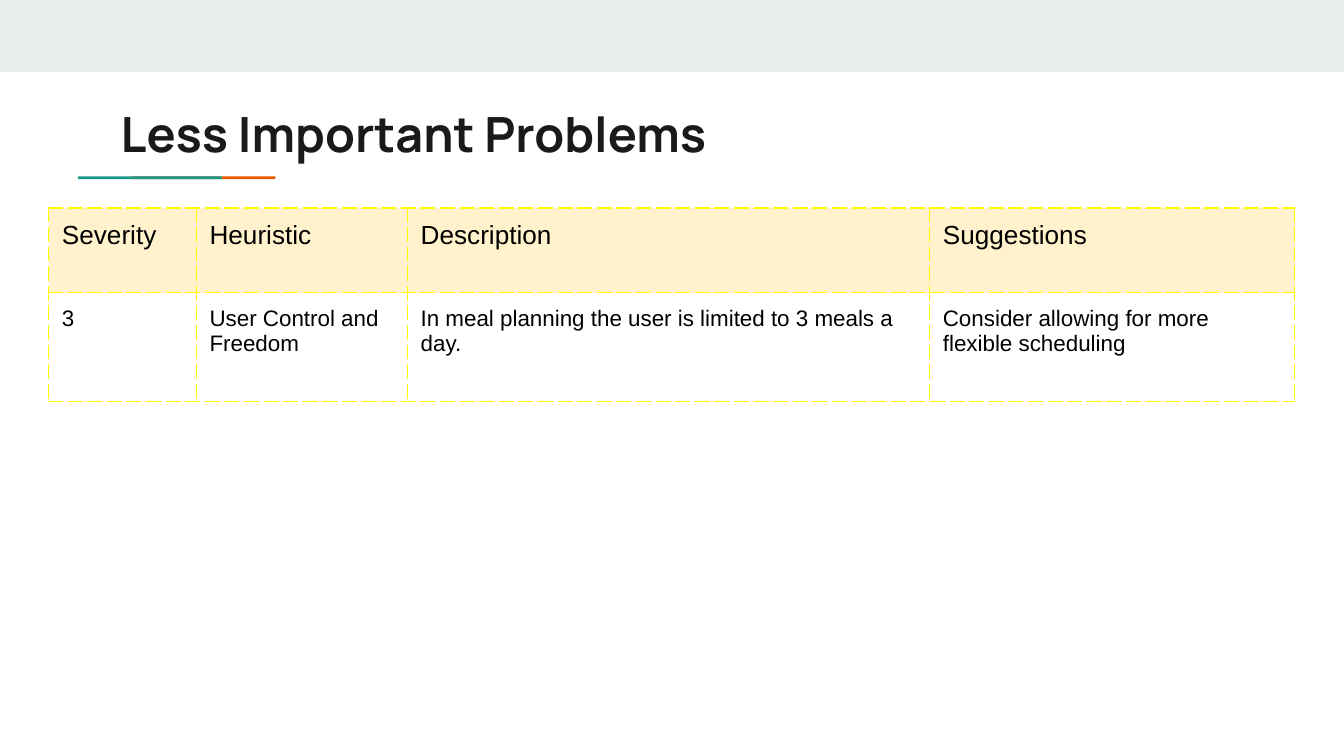
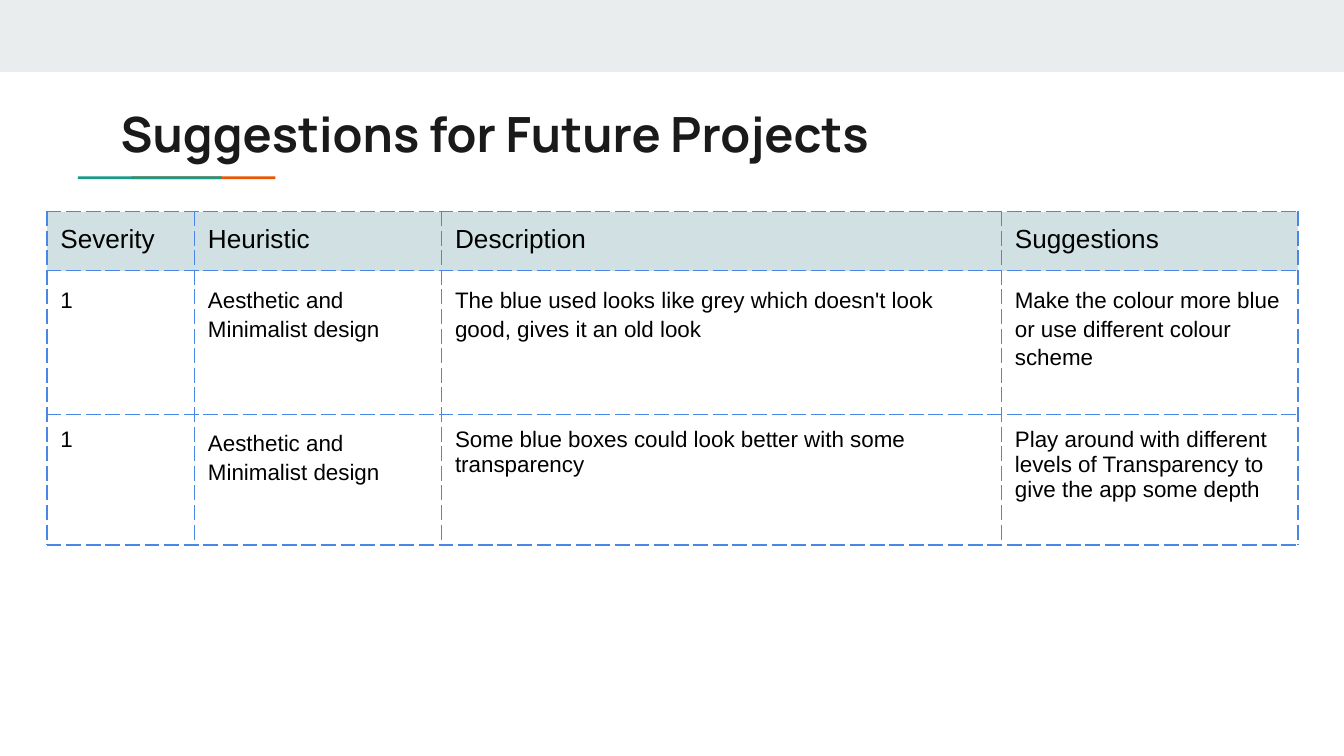
from lxml.etree import SubElement
from pptx import Presentation
from pptx.dml.color import RGBColor
from pptx.enum.shapes import MSO_SHAPE
from pptx.enum.text import MSO_ANCHOR, PP_ALIGN
from pptx.oxml.ns import qn
from pptx.util import Cm, Pt

# Shared look
COLOURS = {
    "band": "E9EDEE", "teal": "1A9988", "orange": "EB5600",
    "title": "1A1A1A", "text": "000000",
    "cream": "FFF2CC", "yellow": "FFFF00",
    "mist": "D0E0E3", "blue": "4A86E8",
}
INSET = Cm(0.25)
BORDER_WIDTH = Pt(0.75)

# Left, top, width, height in cm, and colour
BAND = (0, 0, 25.4, 1.36, "band")
# Upright bars, turned on their side; the teal one covers part of the orange
RULE_BARS = [
    (3.78, 2.84, 0.13, 2.72, "orange"),
    (2.77, 2.84, 0.13, 2.72, "teal"),
]
RULE_HEIGHT = 1.04

# Content; "loose" holds the (row, column) cells with wider line spacing
HEADINGS = ("Severity", "Heuristic", "Description", "Suggestions")
PAGES = [
    {
        "title": "Less Important Problems",
        "origin": (0.92, 3.93),
        "columns": (2.79, 3.99, 9.87, 6.9),
        "heights": (1.6, 2.06),
        "header": "cream", "border": "yellow",
        "problems": [
            ("3", "User Control and Freedom",
             "In meal planning the user is limited to 3 meals a day.",
             "Consider allowing for more flexible scheduling"),
        ],
        "loose": set(),
    },
    {
        "title": "Suggestions for Future Projects",
        "origin": (0.89, 4.0),
        "columns": (2.79, 4.67, 10.58, 5.6),
        "heights": (1.12, 2.71, 2.47),
        "header": "mist", "border": "blue",
        "problems": [
            ("1", "Aesthetic and Minimalist design",
             "The blue used looks like grey which doesn't look good, "
             "gives it an old look",
             "Make the colour more blue or use different colour scheme"),
            ("1", "Aesthetic and Minimalist design",
             "Some blue boxes could look better with some transparency",
             "Play around with different levels of Transparency to give "
             "the app some depth"),
        ],
        "loose": {(1, 0), (1, 1), (1, 2), (1, 3), (2, 1)},
    },
]


def rgb(name):
    return RGBColor.from_string(COLOURS[name])


def set_insets(target):
    target.margin_left = target.margin_right = INSET
    target.margin_top = target.margin_bottom = INSET


def style_font(font, face, size, colour, bold=False):
    font.name, font.size, font.bold = face, Pt(size), bold
    font.color.rgb = rgb(colour)


def add_bar(shapes, left, top, width, height, colour):
    bar = shapes.add_shape(
        MSO_SHAPE.RECTANGLE, Cm(left), Cm(top), Cm(width), Cm(height))
    bar.shadow.inherit = False
    bar.fill.solid()
    bar.fill.fore_color.rgb = rgb(colour)
    bar.line.fill.background()
    return bar


def add_decor(slide):
    add_bar(slide.shapes, *BAND)
    rule = slide.shapes.add_group_shape()
    for bar in RULE_BARS:
        add_bar(rule.shapes, *bar).rotation = 270
    # Squeezing the group thins the turned bars
    rule.height = Cm(RULE_HEIGHT)


def add_title(slide, wording):
    title = slide.shapes.title
    title.left, title.top = Cm(2.03), Cm(1.72)
    title.width, title.height = Cm(21.36), Cm(1.5)
    frame = title.text_frame
    frame.text = wording
    frame.word_wrap = True
    frame.vertical_anchor = MSO_ANCHOR.TOP
    set_insets(frame)
    heading = frame.paragraphs[0]
    heading.alignment = PP_ALIGN.LEFT
    style_font(heading.font, "Manrope", 26, "title", bold=True)


def dash_borders(cell, colour):
    # Border elements come before the fill in the cell properties
    properties = cell._tc.get_or_add_tcPr()
    for place, side in enumerate(("lnL", "lnR", "lnT", "lnB")):
        line = SubElement(properties, qn(f"a:{side}"), w=str(BORDER_WIDTH))
        fill = SubElement(line, qn("a:solidFill"))
        SubElement(fill, qn("a:srgbClr"), val=COLOURS[colour])
        SubElement(line, qn("a:prstDash"), val="dash")
        properties.insert(place, line)


def add_problems(slide, page):
    rows = [HEADINGS, *page["problems"]]
    columns, heights = page["columns"], page["heights"]
    left, top = page["origin"]
    table = slide.shapes.add_table(
        len(rows), len(columns), Cm(left), Cm(top),
        Cm(sum(columns)), Cm(sum(heights))).table
    table.first_row = table.horz_banding = False
    for column, width in zip(table.columns, columns):
        column.width = Cm(width)
    for row, height in zip(table.rows, heights):
        row.height = Cm(height)

    for r, wordings in enumerate(rows):
        for c, wording in enumerate(wordings):
            cell = table.cell(r, c)
            cell.text = wording
            set_insets(cell)
            if r == 0:
                cell.fill.solid()
                cell.fill.fore_color.rgb = rgb(page["header"])
            else:
                cell.fill.background()
            paragraph = cell.text_frame.paragraphs[0]
            style_font(paragraph.font, "Arial", 12 if r else 14, "text")
            if (r, c) in page["loose"]:
                paragraph.line_spacing = 1.15
            dash_borders(cell, page["border"])


# Build the slides
deck = Presentation()
deck.slide_width, deck.slide_height = Cm(25.4), Cm(14.29)
title_only = deck.slide_layouts[5]
for page in PAGES:
    slide = deck.slides.add_slide(title_only)
    add_decor(slide)
    add_title(slide, page["title"])
    add_problems(slide, page)

deck.save("out.pptx")
